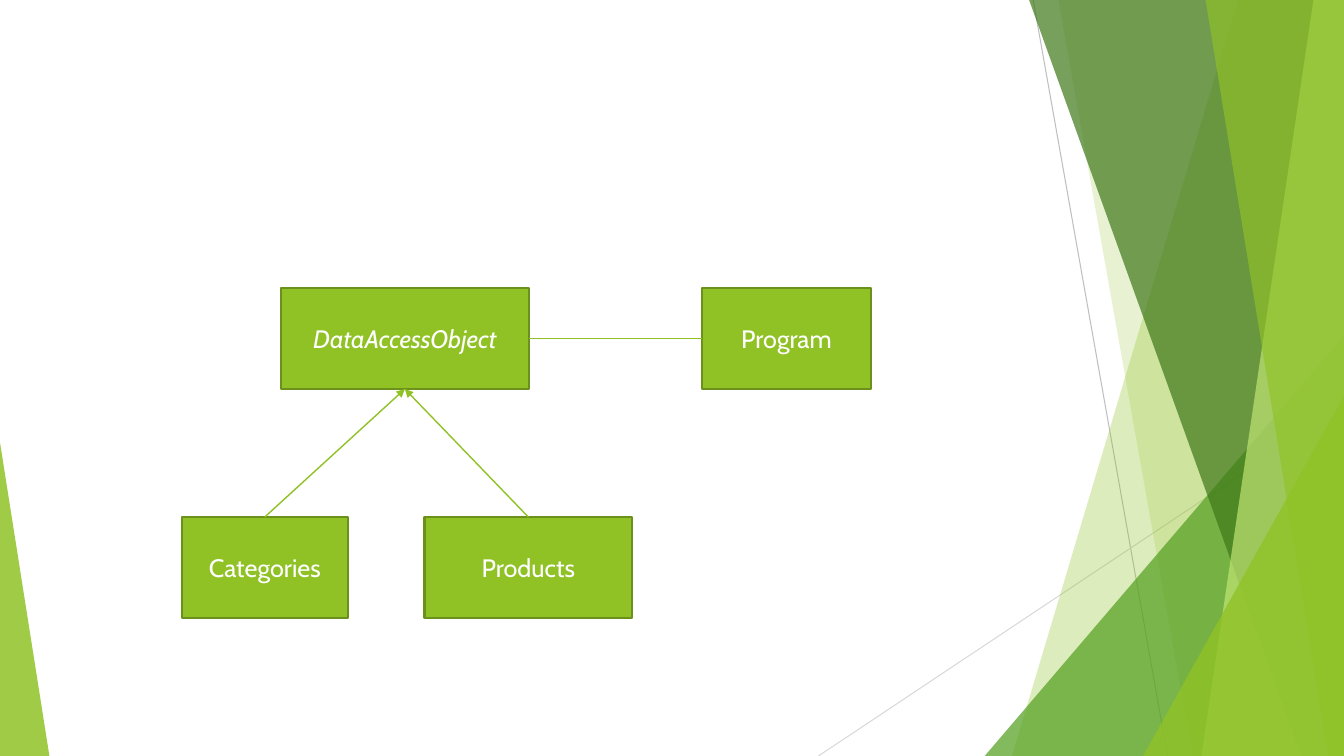
from dataclasses import dataclass

from lxml import etree
from pptx import Presentation
from pptx.dml.color import RGBColor
from pptx.enum.shapes import MSO_CONNECTOR, MSO_SHAPE
from pptx.enum.text import MSO_ANCHOR, PP_ALIGN
from pptx.oxml.ns import qn
from pptx.util import Pt

RECTANGLE, TRIANGLE = MSO_SHAPE.RECTANGLE, MSO_SHAPE.ISOSCELES_TRIANGLE
STRAIGHT = MSO_CONNECTOR.STRAIGHT
MIDDLE, CENTER = MSO_ANCHOR.MIDDLE, PP_ALIGN.CENTER
TOP, LEFT, BOTTOM, RIGHT = range(4)
PAGE_WIDTH, PAGE_HEIGHT = 960, 540


@dataclass(frozen=True)
class Theme:
    font: str = "Cabin"
    size: float = 18
    text: str = "FFFFFF"
    lime: str = "90C226"
    pale_lime: str = "C0E474"
    green: str = "54A021"
    forest: str = "3F7819"
    outline: str = "6B901C"
    gray: str = "BFBFBF"
    light_gray: str = "D9D9D9"
    outline_width: float = 1.5
    link_width: float = 1
    hairline_width: float = 0.75


@dataclass(frozen=True)
class Band:
    """A full-height band reaching the right edge, with a slanted left side."""
    top_x: float
    bottom_x: float
    color: str
    opacity: int


@dataclass(frozen=True)
class Wedge:
    """A right triangle standing on the bottom edge."""
    left: float
    top: float
    width: float
    apex: float
    color: str
    opacity: int


@dataclass(frozen=True)
class ClassBox:
    name: str
    left: float
    top: float
    width: float
    italic: bool = False


@dataclass(frozen=True)
class Link:
    source: str
    source_side: int
    target: str
    target_side: int
    arrow: bool = False


THEME = Theme()
BOX_HEIGHT = 72
UPPER_ROW, LOWER_ROW = 205.9, 369.3
PARENT = "DataAccessObject"

HAIRLINES = [
    (738, 0, 834, PAGE_HEIGHT, THEME.gray),
    (PAGE_WIDTH, 290, 584.6, PAGE_HEIGHT, THEME.light_gray),
]
DECORATION = [
    Band(884.2, 722.9, THEME.lime, 30),
    Band(756, 851.8, THEME.lime, 20),
    Wedge(703.4, 239.8, 256.6, 1, THEME.green, 72),
    Band(735.1, 929.5, THEME.forest, 70),
    Band(938.2, 858.2, THEME.pale_lime, 70),
    Band(861.1, 949, THEME.lime, 65),
    Wedge(816.5, 283, 143.5, 1, THEME.lime, 80),
    Wedge(0, 316.1, 35.3, 0, THEME.lime, 85),
]
BOXES = [
    ClassBox(PARENT, 200.7, UPPER_ROW, 177, italic=True),
    ClassBox("Categories", 130, LOWER_ROW, 118.3),
    ClassBox("Products", 303.2, LOWER_ROW, 148.4),
    ClassBox("Program", 501.2, UPPER_ROW, 121.2),
]
LINKS = [
    Link("Program", LEFT, PARENT, RIGHT),
    Link("Categories", TOP, PARENT, BOTTOM, arrow=True),
    Link("Products", TOP, PARENT, BOTTOM, arrow=True),
]


def add_line(page, ends, color: str, width: float):
    line = page.shapes.add_connector(STRAIGHT, *(Pt(value) for value in ends))
    line.line.color.rgb = RGBColor.from_string(color)
    line.line.width = Pt(width)
    etree.SubElement(line._element.spPr, qn("a:effectLst"))
    return line


def fill_translucent(shape, color: str, opacity: int) -> None:
    shape.shadow.inherit = False
    shape.line.fill.background()
    shape.fill.solid()
    shape.fill.fore_color.rgb = RGBColor.from_string(color)
    fill_color = shape._element.spPr.find(f"{qn('a:solidFill')}/{qn('a:srgbClr')}")
    etree.SubElement(fill_color, qn("a:alpha")).set("val", str(opacity * 1000))


def add_band(page, band: Band) -> None:
    builder = page.shapes.build_freeform(Pt(band.top_x), 0)
    corners = [(PAGE_WIDTH, 0), (PAGE_WIDTH, PAGE_HEIGHT), (band.bottom_x, PAGE_HEIGHT)]
    builder.add_line_segments([(Pt(x), Pt(y)) for x, y in corners], close=True)
    fill_translucent(builder.convert_to_shape(), band.color, band.opacity)


def add_wedge(page, wedge: Wedge) -> None:
    shape = page.shapes.add_shape(TRIANGLE, Pt(wedge.left), Pt(wedge.top),
                                  Pt(wedge.width), Pt(PAGE_HEIGHT - wedge.top))
    shape.adjustments[0] = wedge.apex
    fill_translucent(shape, wedge.color, wedge.opacity)


def add_class_box(page, box: ClassBox):
    shape = page.shapes.add_shape(RECTANGLE, Pt(box.left), Pt(box.top),
                                  Pt(box.width), Pt(BOX_HEIGHT))
    shape.shadow.inherit = False
    shape.fill.solid()
    shape.fill.fore_color.rgb = RGBColor.from_string(THEME.lime)
    shape.line.color.rgb = RGBColor.from_string(THEME.outline)
    shape.line.width = Pt(THEME.outline_width)
    shape.text_frame.word_wrap = True
    shape.text_frame.vertical_anchor = MIDDLE
    para = shape.text_frame.paragraphs[0]
    para.alignment = CENTER
    span = para.add_run()
    span.text = box.name
    span.font.name = THEME.font
    span.font.size = Pt(THEME.size)
    span.font.italic = box.italic
    span.font.color.rgb = RGBColor.from_string(THEME.text)
    return shape


def add_link(page, link: Link, shapes: dict) -> None:
    line = add_line(page, (0, 0, 0, 0), THEME.lime, THEME.link_width)
    line.begin_connect(shapes[link.source], link.source_side)
    line.end_connect(shapes[link.target], link.target_side)
    if link.arrow:
        outline = line._element.spPr.find(qn("a:ln"))
        etree.SubElement(outline, qn("a:tailEnd")).set("type", "triangle")


def main() -> None:
    deck = Presentation()
    deck.slide_width, deck.slide_height = Pt(PAGE_WIDTH), Pt(PAGE_HEIGHT)
    page = deck.slides.add_slide(deck.slide_layouts[6])

    # Background decoration
    for *ends, color in HAIRLINES:
        add_line(page, ends, color, THEME.hairline_width)
    for part in DECORATION:
        if isinstance(part, Band):
            add_band(page, part)
        else:
            add_wedge(page, part)

    # Class diagram
    shapes = {box.name: add_class_box(page, box) for box in BOXES}
    for link in LINKS:
        add_link(page, link, shapes)

    deck.save("out.pptx")


if __name__ == "__main__":
    main()
